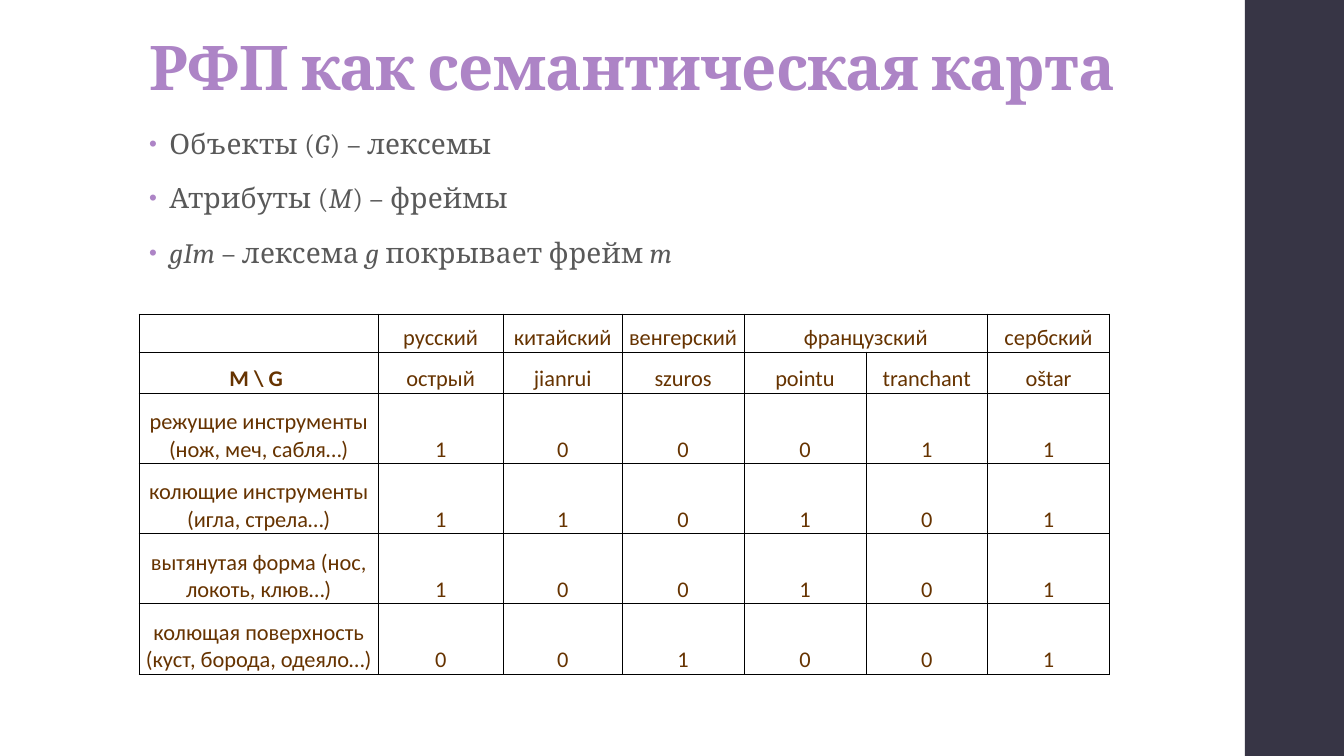
from pptx import Presentation
from pptx import util as u
from pptx.dml.color import RGBColor
from pptx.enum import shapes, text
from pptx.oxml.ns import qn
from lxml import etree

PURPLE, DARK, GREY, BROWN, BLACK = "AD84C6", "373545", "595959", "663300", "000000"

TITLE = "РФП как семантическая карта"
# Each bullet is a list of (text, italic) spans.
BULLETS = [
    [("Объекты (", False), ("G", True), (") – лексемы", False)],
    [("Атрибуты (", False), ("M", True), (") – фреймы", False)],
    [("gIm", True), (" – лексема ", False), ("g ", True),
     ("покрывает фрейм ", False), ("m", True)],
]
LANGUAGES = ["", "русский", "китайский", "венгерский", "французский", "", "сербский"]
LEXEMES = ["M \\ G ", "острый", "jianrui", "szuros", "pointu", "tranchant", "oštar"]
FRAMES = [
    ("режущие инструменты (нож, меч, сабля…)", (1, 0, 0, 0, 1, 1)),
    ("колющие инструменты (игла, стрела…)", (1, 1, 0, 1, 0, 1)),
    ("вытянутая форма (нос, локоть, клюв…)", (1, 0, 0, 1, 0, 1)),
    ("колющая поверхность (куст, борода, одеяло…)", (0, 0, 1, 0, 0, 1)),
]
LEFT = 3.51
COLUMN_WIDTHS = [6.02, 3.15, 3.0] + [3.07] * 4
ROW_HEIGHTS = [0.95, 1.03] + [1.77] * len(FRAMES)


def rgb(color):
    return RGBColor.from_string(color)


def place(*lengths):
    return [u.Cm(length) for length in lengths]


def add_text(para, words, size, font, color, bold=False, italic=False, spacing=0):
    span = para.add_run()
    span.text = words
    span.font.size, span.font.name = u.Pt(size), font
    span.font.bold, span.font.italic = bold, italic
    span.font.color.rgb = rgb(color)
    if spacing:
        span.font._element.set("spc", str(round(spacing * 100)))


def add_child(parent, tag, **attributes):
    child = etree.SubElement(parent, qn(tag))
    for name, value in attributes.items():
        child.set(name, str(value))
    return child


def add_bullet(para):
    properties = para._p.get_or_add_pPr()
    properties.set("marL", str(u.Cm(0.51)))
    properties.set("indent", str(-u.Cm(0.51)))
    add_child(add_child(properties, "a:buClr"), "a:srgbClr", val=PURPLE)
    add_child(properties, "a:buSzPct", val=80000)
    add_child(properties, "a:buFont", typeface="Arial")
    add_child(properties, "a:buChar", char="•")


def add_border(cell, side, points):
    line = add_child(cell._tc.get_or_add_tcPr(), "a:ln" + side, w=u.Pt(points))
    add_child(add_child(line, "a:solidFill"), "a:srgbClr", val=BLACK)


def add_title(slide):
    title = slide.shapes.title
    title.left, title.top, title.width, title.height = place(LEFT, 0.74, 26.92, 2.01)
    frame = title.text_frame
    frame.auto_size, frame.word_wrap = text.MSO_AUTO_SIZE.NONE, True
    frame.vertical_anchor = text.MSO_ANCHOR.BOTTOM
    frame.margin_top = u.Cm(0.08)
    para = frame.paragraphs[0]
    para.alignment, para.line_spacing = text.PP_ALIGN.LEFT, 0.9
    para.space_before = u.Pt(0)
    add_text(para, TITLE, 44, "Cambria", PURPLE, bold=True, spacing=-0.5)


def add_bullets(slide):
    frame = slide.shapes.add_textbox(*place(LEFT, 3.12, 23.88, 4.06)).text_frame
    frame.word_wrap = True
    for index, spans in enumerate(BULLETS):
        para = frame.add_paragraph() if index else frame.paragraphs[0]
        para.line_spacing = 0.95
        para.space_before, para.space_after = u.Pt(14), u.Pt(2)
        add_bullet(para)
        for words, italic in spans:
            add_text(para, words, 20, "Cambria", GREY, italic=italic, spacing=0.1)


def add_frame_table(slide):
    rows = [LANGUAGES, LEXEMES] + [[name, *marks] for name, marks in FRAMES]
    area = place(LEFT, 7.92, sum(COLUMN_WIDTHS), sum(ROW_HEIGHTS))
    table = slide.shapes.add_table(len(rows), len(LEXEMES), *area).table
    table.first_row = table.horz_banding = False
    for column, width in zip(table.columns, COLUMN_WIDTHS):
        column.width = u.Cm(width)
    for row, height in zip(table.rows, ROW_HEIGHTS):
        row.height = u.Cm(height)
    table.cell(0, 4).merge(table.cell(0, 5))
    last = len(LEXEMES) - 1
    for r, values in enumerate(rows):
        for c, value in enumerate(values):
            cell = table.cell(r, c)
            cell.margin_left = cell.margin_right = cell.margin_top = u.Cm(0.03)
            cell.margin_bottom = 0
            cell.vertical_anchor = text.MSO_ANCHOR.BOTTOM
            outer = {"L": c == 0, "R": c == last, "T": r == 0, "B": False}
            for side, is_outer in outer.items():
                add_border(cell, side, 1 if is_outer else 0.5)
            cell.fill.background()
            para = cell.text_frame.paragraphs[0]
            para.alignment = text.PP_ALIGN.CENTER
            if value != "":
                add_text(para, str(value), 16, "Calibri", BROWN, bold=(r, c) == (1, 0))


def main():
    deck = Presentation()
    deck.slide_width, deck.slide_height = place(33.87, 19.05)
    slide = deck.slides.add_slide(deck.slide_layouts[5])
    side_bar = slide.shapes.add_shape(
        shapes.MSO_SHAPE.RECTANGLE, *place(31.37, 0, 2.5, 19.05))
    side_bar.shadow.inherit = False
    side_bar.fill.solid()
    side_bar.fill.fore_color.rgb = rgb(DARK)
    side_bar.line.fill.background()
    add_title(slide)
    add_bullets(slide)
    add_frame_table(slide)
    deck.save("out.pptx")


if __name__ == "__main__":
    main()
